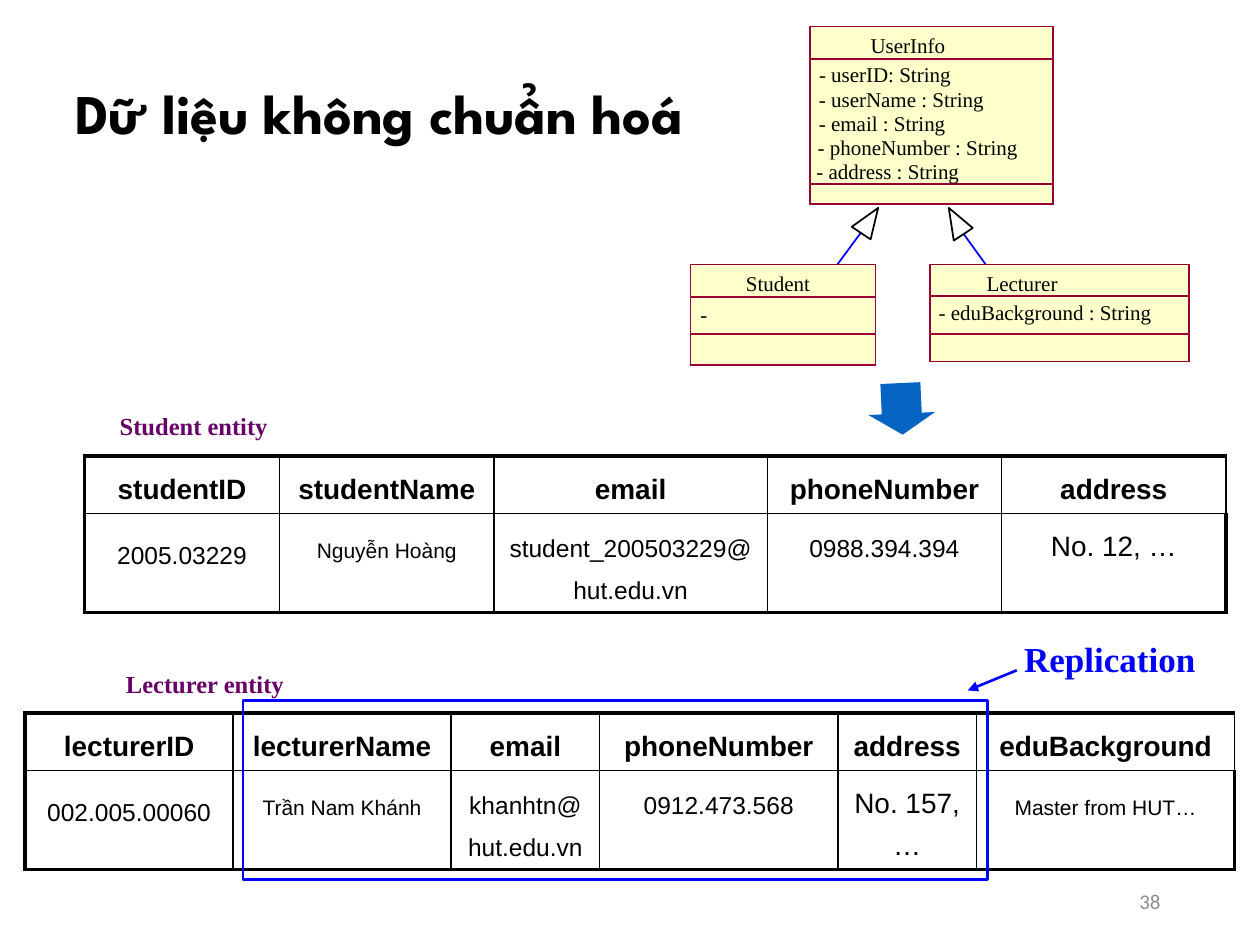
from dataclasses import dataclass
from lxml import etree
from pptx import Presentation
from pptx.dml.color import RGBColor
from pptx.enum.shapes import MSO_CONNECTOR, MSO_SHAPE
from pptx.enum.text import MSO_ANCHOR, MSO_AUTO_SIZE, PP_ALIGN
from pptx.oxml.ns import qn
from pptx.util import Inches, Pt

RECTANGLE = MSO_SHAPE.RECTANGLE
RIGHT_ARROW = MSO_SHAPE.RIGHT_ARROW
STRAIGHT = MSO_CONNECTOR.STRAIGHT
TOP, MIDDLE = MSO_ANCHOR.TOP, MSO_ANCHOR.MIDDLE
FIT, FIXED = MSO_AUTO_SIZE.SHAPE_TO_FIT_TEXT, MSO_AUTO_SIZE.NONE
LEFT, CENTER, RIGHT = PP_ALIGN.LEFT, PP_ALIGN.CENTER, PP_ALIGN.RIGHT

COLORS = {
    "black": "000000", "purple": "660066", "blue": "0000FF", "arrow": "0563C1",
    "cream": "FFFFCC", "maroon": "990033", "gray": "8C8C8C",
}
SERIF = "Times New Roman"
THIN, THICK = 1, 2.25


@dataclass
class Label:
    left: float
    top: float
    width: float
    text: str


@dataclass
class UmlClass:
    left: float
    top: float
    width: float
    bottom: float
    body_top: float
    operations_top: float
    name: Label
    attributes: list[Label]


@dataclass
class Entity:
    left: float
    top: float
    widths: list[float]
    heights: list[float]
    headers: list[str]
    values: list[str]
    sizes: list[int]


@dataclass
class Inheritance:
    start: tuple[float, float]
    end: tuple[float, float]
    triangle: list[tuple[float, float]]


CLASSES = [
    UmlClass(6.43, 0.21, 1.93, 1.62, 0.47, 1.46, Label(6.91, 0.26, 0.63, "UserInfo"), [
        Label(6.5, 0.49, 1.12, "- userID: String"),
        Label(6.5, 0.69, 1.44, "- userName : String"),
        Label(6.5, 0.88, 1.07, "- email : String"),
        Label(6.49, 1.07, 1.73, "- phoneNumber : String"),
        Label(6.48, 1.26, 1.27, "- address : String"),
    ]),
    UmlClass(5.48, 2.1, 1.47, 2.9, 2.36, 2.65, Label(5.92, 2.15, 0.57, "Student"),
             [Label(5.56, 2.39, 0.1, "-")]),
    UmlClass(7.38, 2.1, 2.06, 2.87, 2.35, 2.65, Label(7.83, 2.15, 0.61, "Lecturer"),
             [Label(7.45, 2.38, 1.84, "- eduBackground : String")]),
]
INHERITANCES = [
    Inheritance((6.52, 2.27), (6.83, 1.85), [(6.97, 1.65), (6.91, 1.9), (6.76, 1.8)]),
    Inheritance((7.94, 2.26), (7.65, 1.86), [(7.53, 1.65), (7.72, 1.81), (7.57, 1.91)]),
]
ENTITIES = [
    Entity(0.67, 3.62, [1.55, 1.7, 2.17, 1.86, 1.78], [0.42, 0.78],
           ["studentID", "studentName", "email", "phoneNumber", "address"],
           ["2005.03229", "Nguyễn Hoàng", "student_200503229@hut.edu.vn",
            "0988.394.394", "No. 12, …"], [14, 12, 14, 14, 16]),
    Entity(0.2, 5.66, [1.65, 1.73, 1.18, 1.89, 1.1, 2.05], [0.42, 0.75],
           ["lecturerID", "lecturerName", "email", "phoneNumber", "address", "eduBackground"],
           ["002.005.00060", "Trần Nam Khánh", "khanhtn@hut.edu.vn",
            "0912.473.568", "No. 157, …", "Master from HUT…"], [14, 12, 14, 14, 16, 12]),
]
ENTITY_TITLES = [Label(0.83, 3.2, 1.42, "Student entity"),
                 Label(0.88, 5.25, 1.5, "Lecturer entity")]


def write_text(frame, text: str, *, size: float, font: str = SERIF, color: str = "black",
               bold: bool = False, align=LEFT, spacing=None) -> None:
    para = frame.paragraphs[0]
    para.alignment = align
    if spacing is not None:
        para.line_spacing = spacing
    span = para.add_run()
    span.text = text
    span.font.size = Pt(size)
    span.font.name = font
    span.font.bold = bold
    span.font.color.rgb = RGBColor.from_string(COLORS[color])


def add_text(page, label: Label, *, height: float, inset: tuple[float, float] = (0.1, 0.05),
             wrap: bool = True, anchor=TOP, fit=FIT, **style) -> None:
    box = page.shapes.add_textbox(Inches(label.left), Inches(label.top),
                                  Inches(label.width), Inches(height))
    frame = box.text_frame
    frame.word_wrap = wrap
    frame.auto_size = fit
    frame.vertical_anchor = anchor
    frame.margin_left = frame.margin_right = Inches(inset[0])
    frame.margin_top = frame.margin_bottom = Inches(inset[1])
    write_text(frame, label.text, **style)


def paint(shape, fill: str | None, line: str | None, width: float = THIN) -> None:
    shape.shadow.inherit = False
    if fill:
        shape.fill.solid()
        shape.fill.fore_color.rgb = RGBColor.from_string(COLORS[fill])
    else:
        shape.fill.background()
    if line:
        shape.line.color.rgb = RGBColor.from_string(COLORS[line])
        shape.line.width = Pt(width)
    else:
        shape.line.fill.background()


def add_box(page, left: float, top: float, width: float, height: float, *, kind=RECTANGLE,
            fill: str | None = None, line: str | None = None, weight: float = THIN):
    shape = page.shapes.add_shape(kind, Inches(left), Inches(top), Inches(width), Inches(height))
    paint(shape, fill, line, weight)
    return shape


def add_line(page, start: tuple[float, float], end: tuple[float, float], *,
             weight: float = THIN, arrow: bool = False) -> None:
    line = page.shapes.add_connector(STRAIGHT, *map(Inches, start + end))
    line.line.color.rgb = RGBColor.from_string(COLORS["blue"])
    line.line.width = Pt(weight)
    properties = line._element.spPr
    if arrow:
        etree.SubElement(properties.find(qn("a:ln")), qn("a:tailEnd"), type="triangle")
    etree.SubElement(properties, qn("a:effectLst"))


def draw_class(page, uml: UmlClass) -> None:
    for top, fill in ((uml.top, "cream"), (uml.body_top, None), (uml.operations_top, None)):
        add_box(page, uml.left, top, uml.width, uml.bottom - top, fill=fill, line="maroon")
    for label in [uml.name, *uml.attributes]:
        add_text(page, label, height=0.2, inset=(0, 0), wrap=False, size=12)


def draw_inheritance(page, link: Inheritance) -> None:
    add_line(page, link.start, link.end)
    first, *others = [(Inches(x), Inches(y)) for x, y in link.triangle]
    builder = page.shapes.build_freeform(*first, scale=1.0)
    builder.add_line_segments(others, close=True)
    paint(builder.convert_to_shape(), None, "black")


def set_borders(cell, widths: dict[str, float]) -> None:
    properties = cell._tc.get_or_add_tcPr()
    for index, (side, width) in enumerate(widths.items()):
        border = etree.Element(qn(f"a:ln{side}"), w=str(Pt(width)))
        fill = etree.SubElement(border, qn("a:solidFill"))
        etree.SubElement(fill, qn("a:srgbClr"), val=COLORS["black"])
        properties.insert(index, border)


def draw_entity(page, entity: Entity) -> None:
    count = len(entity.widths)
    table = page.shapes.add_table(2, count, Inches(entity.left), Inches(entity.top),
                                  Inches(sum(entity.widths)), Inches(sum(entity.heights))).table
    table.first_row = table.horz_banding = False
    for column, width in zip(table.columns, entity.widths):
        column.width = Inches(width)
    for row, height in zip(table.rows, entity.heights):
        row.height = Inches(height)
    rows = [(entity.headers, [16] * count), (entity.values, entity.sizes)]
    for row, (texts, sizes) in enumerate(rows):
        for column, (text, size) in enumerate(zip(texts, sizes)):
            cell = table.cell(row, column)
            cell.margin_left = cell.margin_right = Inches(0.12)
            cell.margin_top = cell.margin_bottom = Inches(0.06)
            cell.fill.background()
            is_data = row == 1
            set_borders(cell, {
                "L": THICK if column == 0 else THIN,
                "R": THICK if is_data and column == count - 1 else THIN,
                "T": THIN if is_data else THICK,
                "B": THICK if is_data else THIN,
            })
            write_text(cell.text_frame, text, size=size, font="Arial", bold=not is_data,
                       align=CENTER, spacing=Pt(28 if is_data and column == 0 else 24))


def main() -> None:
    deck = Presentation()
    deck.slide_width, deck.slide_height = Inches(10), Inches(7.5)
    page = deck.slides.add_slide(deck.slide_layouts[6])
    add_text(page, Label(0.5, 0.3, 5.68, "Dữ liệu không chuẩn hoá"), height=1.25, anchor=MIDDLE,
             fit=FIXED, size=32, font="League Spartan", bold=True, spacing=0.9)
    for entity, title in zip(ENTITIES, ENTITY_TITLES):
        draw_entity(page, entity)
        add_text(page, title, height=0.35, inset=(0.12, 0.06), wrap=False,
                 size=14, color="purple", bold=True)
    arrow = add_box(page, 6.95, 2.98, 0.41, 0.53, kind=RIGHT_ARROW, fill="arrow")
    arrow.rotation = 87.4
    arrow.adjustments[0], arrow.adjustments[1] = 0.6, 0.41
    add_box(page, 1.93, 5.56, 5.91, 1.42, line="blue", weight=1.5)
    add_text(page, Label(8.03, 5.01, 1.97, "Replication"), height=0.44,
             size=20, color="blue", bold=True)
    add_line(page, (8.07, 5.32), (7.68, 5.48), weight=1.5, arrow=True)
    for link in INHERITANCES:
        draw_inheritance(page, link)
    for uml in CLASSES:
        draw_class(page, uml)
    add_text(page, Label(7.06, 6.95, 2.25, "38"), height=0.4, anchor=MIDDLE, fit=FIXED,
             size=12, font="Calibri", color="gray", align=RIGHT)
    deck.save("out.pptx")


if __name__ == "__main__":
    main()
